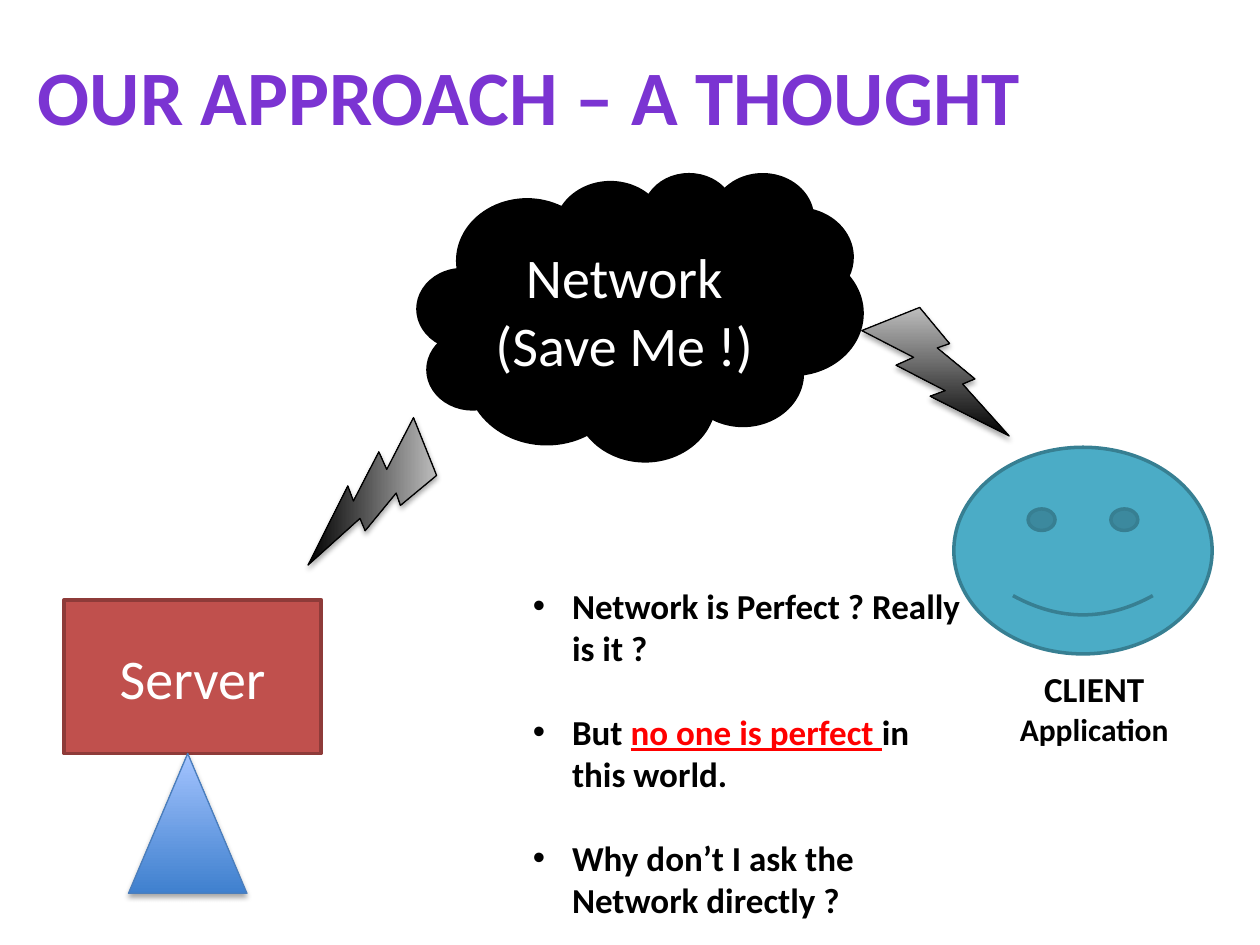
from lxml import etree
from pptx import Presentation
from pptx.dml.color import RGBColor
from pptx.enum.shapes import MSO_SHAPE as Shape
from pptx.enum.text import MSO_ANCHOR as Anchor, MSO_AUTO_SIZE as AutoSize, PP_ALIGN as Align
from pptx.oxml import parse_xml
from pptx.oxml.ns import qn
from pptx.util import Inches, Pt

BLACK = RGBColor(0x00, 0x00, 0x00)
WHITE = RGBColor(0xFF, 0xFF, 0xFF)
RED = RGBColor(0xFF, 0x00, 0x00)
PURPLE = RGBColor(0x7B, 0x34, 0xD2)
BRICK = RGBColor(0xC0, 0x50, 0x4D)
BRICK_EDGE = RGBColor(0x8E, 0x3B, 0x39)
TEAL = RGBColor(0x4B, 0xAC, 0xC6)
TEAL_EDGE = RGBColor(0x37, 0x7F, 0x92)
SILVER = RGBColor(0xBD, 0xBD, 0xBD)
BLUE = RGBColor(0x3F, 0x80, 0xCE)
BLUE_LIGHT = RGBColor(0xA4, 0xC4, 0xFF)
BLUE_EDGE = RGBColor(0x4B, 0x7E, 0xBC)
FONT = "Calibri"
DRAWING_NS = "http://schemas.openxmlformats.org/drawingml/2006/main"


def place(shape, left, top, width, height):
    shape.left, shape.top = Inches(left), Inches(top)
    shape.width, shape.height = Inches(width), Inches(height)


def add_run(paragraph, text, size=20, color=BLACK, bold=False, underline=None):
    run = paragraph.add_run()
    run.text = text
    font = run.font
    font.name, font.size, font.bold, font.underline = FONT, Pt(size), bold, underline
    font.color.rgb = color


def write_lines(shape, lines, sizes, anchor=Anchor.MIDDLE, align=Align.CENTER, **style):
    frame = shape.text_frame
    frame.word_wrap = True
    frame.auto_size = AutoSize.NONE
    frame.vertical_anchor = anchor
    for index, (line, size) in enumerate(zip(lines, sizes)):
        paragraph = frame.add_paragraph() if index else frame.paragraphs[0]
        paragraph.alignment = align
        add_run(paragraph, line, size=size, **style)


def add_figure(slide, kind, box, fill, edge, edge_width=2):
    """A pair of colours as fill gives a gradient, bottom to top, with a shadow."""
    shape = slide.shapes.add_shape(kind, *map(Inches, box))
    shape.shadow.inherit = False
    shape.line.color.rgb = edge
    shape.line.width = Pt(edge_width)
    if isinstance(fill, RGBColor):
        shape.fill.solid()
        shape.fill.fore_color.rgb = fill
        return shape
    shape.fill.gradient()
    shape.fill.gradient_angle = 90
    for stop, color in zip(shape.fill.gradient_stops, fill):
        stop.color.rgb = color
    effects = shape._element.spPr.find(qn("a:effectLst"))
    effects.append(parse_xml(
        f'<a:outerShdw xmlns:a="{DRAWING_NS}" blurRad="{Pt(3.1)}" dist="{Pt(1.8)}" '
        'dir="5400000" rotWithShape="0"><a:srgbClr val="000000">'
        '<a:alpha val="35000"/></a:srgbClr></a:outerShdw>'))
    return shape


def add_title(slide, box):
    title = slide.shapes.title
    place(title, *box)
    write_lines(title, ["OUR APPROACH – A THOUGHT"], [44], align=Align.LEFT,
                color=PURPLE, bold=True)


def add_questions(slide, box, questions):
    body = slide.placeholders[1]
    place(body, *box)
    frame = body.text_frame
    frame.word_wrap = True
    frame.auto_size = AutoSize.NONE
    frame.vertical_anchor = Anchor.TOP
    for index, parts in enumerate(questions):
        paragraph = frame.add_paragraph() if index else frame.paragraphs[0]
        paragraph.space_before = Pt(24 if index else 0)
        properties = paragraph._p.get_or_add_pPr()
        properties.set("marL", str(Inches(0.31)))
        properties.set("indent", str(-Inches(0.31)))
        etree.SubElement(properties, qn("a:buFont")).set("typeface", "Arial")
        etree.SubElement(properties, qn("a:buChar")).set("char", "•")
        for text, style in parts:
            add_run(paragraph, text, bold=True, **style)


def add_server(slide, left, top):
    screen = add_figure(slide, Shape.RECTANGLE, (left, top, 2.04, 1.22), BRICK, BRICK_EDGE)
    write_lines(screen, ["Server"], [32], color=WHITE)
    add_figure(slide, Shape.ISOSCELES_TRIANGLE, (left + 0.51, top + 1.22, 0.94, 1.11),
               (BLUE, BLUE_LIGHT), BLUE_EDGE, 0.75)


def add_network(slide, left, top):
    cloud = add_figure(slide, Shape.CLOUD, (left, top, 3.52, 2.27), BLACK, BLACK)
    write_lines(cloud, ["Network", "(Save Me !)"], [32, 32], color=WHITE)
    # Bolts to the client and to the server
    for x, y, rotation in ((3.52, 1.06, 0), (-0.95, 2.01, 90)):
        bolt = add_figure(slide, Shape.LIGHTNING_BOLT, (left + x, top + y, 1.17, 1.02),
                          (BLACK, SILVER), BLACK, 0.75)
        bolt.rotation = rotation


def add_client(slide, left, top):
    add_figure(slide, Shape.SMILEY_FACE, (left, top, 2.05, 1.64), TEAL, TEAL_EDGE)
    label = slide.shapes.add_textbox(*map(Inches, (left, top + 1.7, 2.23, 0.74)))
    write_lines(label, ["CLIENT", "Application"], [20, 18], anchor=Anchor.TOP, bold=True)


presentation = Presentation()
presentation.slide_width, presentation.slide_height = Inches(10), Inches(7.5)
slide = presentation.slides.add_slide(presentation.slide_layouts[1])

add_title(slide, (0.2, 0.13, 9.8, 1.25))
add_questions(slide, (4.13, 4.59, 3.63, 3.13), [
    [("Network is Perfect ? Really is it ?", {})],
    [("But ", {}),
     ("no one is perfect ", {"color": RED, "underline": True}),
     ("in this world.", {})],
    [("Why don’t I ask the Network directly ?", {})],
])
add_server(slide, 0.51, 4.76)
add_network(slide, 3.32, 1.38)
add_client(slide, 7.57, 3.55)

presentation.save("out.pptx")
